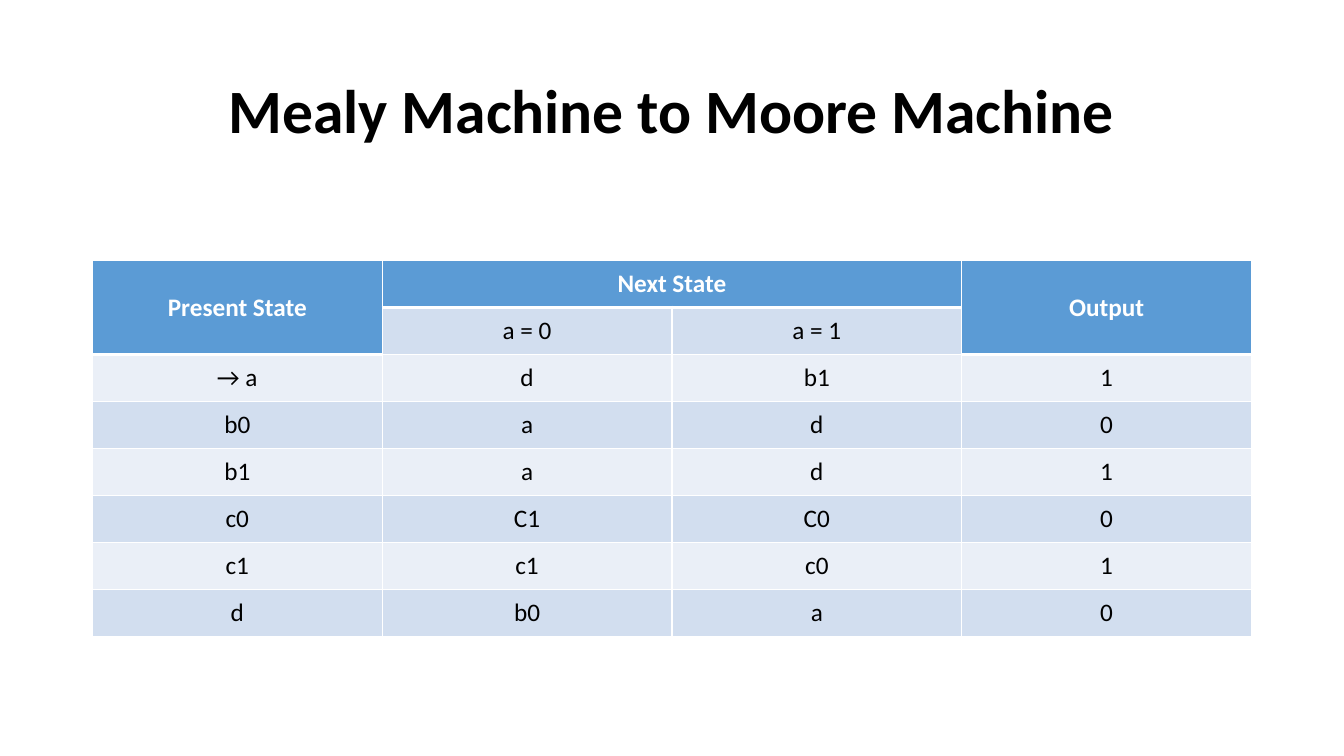
import dataclasses

import pptx
import pptx.dml.color
import pptx.enum.text
import pptx.oxml
import pptx.oxml.ns
import pptx.util

Pt = pptx.util.Pt
CENTER = pptx.enum.text.PP_ALIGN.CENTER
MIDDLE = pptx.enum.text.MSO_ANCHOR.MIDDLE
TOP = pptx.enum.text.MSO_ANCHOR.TOP


@dataclasses.dataclass(frozen=True)
class Theme:
    font: str = "Calibri"
    title_size: float = 44
    table_size: float = 18
    ink: str = "000000"
    white: str = "FFFFFF"
    header: str = "5B9BD5"
    bands: tuple = ("EAEFF7", "D2DEEF")
    thin_line: float = 1
    header_line: float = 3
    cell_margin: float = 6


THEME = Theme()

TRANSITIONS = [
    ["Present State", "Next State", "", "Output"],
    ["", "a = 0", "a = 1", ""],
    ["→ a", "d", "b1", "1"],
    ["b0", "a", "d", "0"],
    ["b1", "a", "d", "1"],
    ["c0", "C1", "C0", "0"],
    ["c1", "c1", "c0", "1"],
    ["d", "b0", "a", "0"],
]
HEADER_SPANS = [((0, 0), (1, 0)), ((0, 1), (0, 2)), ((0, 3), (1, 3))]


def format_text(text_frame, size, color, bold):
    paragraph = text_frame.paragraphs[0]
    paragraph.alignment = CENTER
    for run in paragraph.runs:
        run.font.name = THEME.font
        run.font.size = Pt(size)
        run.font.bold = bold
        run.font.color.rgb = pptx.dml.color.RGBColor.from_string(color)


def add_title(slide, box, text):
    text_frame = slide.shapes.add_textbox(*map(Pt, box)).text_frame
    text_frame.word_wrap = True
    text_frame.vertical_anchor = MIDDLE
    text_frame.text = text
    text_frame.paragraphs[0].line_spacing = 0.9
    format_text(text_frame, THEME.title_size, THEME.ink, True)


def is_header(row, column):
    return row == 0 or (row == 1 and column in (0, 3))


def set_borders(cell, widths):
    properties = cell._tc.get_or_add_tcPr()
    for side, width in widths.items():
        properties.append(pptx.oxml.parse_xml(
            f'<a:ln{side} {pptx.oxml.ns.nsdecls("a")} w="{Pt(width)}">'
            f'<a:solidFill><a:srgbClr val="{THEME.white}"/></a:solidFill></a:ln{side}>'))


def format_cell(cell, row, column):
    header = is_header(row, column)
    below_header = row > 0 and is_header(row - 1, column)
    thin, thick = THEME.thin_line, THEME.header_line
    set_borders(cell, {"L": thin, "R": thin,
                       "T": thick if below_header else thin,
                       "B": thick if header else thin})
    cell.fill.solid()
    fill = THEME.header if header else THEME.bands[row % 2]
    cell.fill.fore_color.rgb = pptx.dml.color.RGBColor.from_string(fill)
    cell.margin_left = cell.margin_right = Pt(THEME.cell_margin)
    cell.margin_top = cell.margin_bottom = Pt(THEME.cell_margin)
    # Headers that span two rows are centred vertically
    cell.vertical_anchor = MIDDLE if header and column in (0, 3) else TOP
    format_text(cell.text_frame, THEME.table_size,
                THEME.white if header else THEME.ink, header)


def add_transition_table(slide, box, rows):
    left, top, width, height = box
    column_count = len(rows[0])
    table = slide.shapes.add_table(len(rows), column_count, *map(Pt, box)).table
    table.first_row = table.horz_banding = False
    for table_column in table.columns:
        table_column.width = Pt(width / column_count)
    for table_row in table.rows:
        table_row.height = Pt(height / len(rows))

    # Cell text and look
    for row, values in enumerate(rows):
        for column, value in enumerate(values):
            cell = table.cell(row, column)
            if value:
                cell.text_frame.text = value
            format_cell(cell, row, column)

    # Header spans
    for first, last in HEADER_SPANS:
        table.cell(*first).merge(table.cell(*last))


def main():
    presentation = pptx.Presentation()
    presentation.slide_width = Pt(960)
    presentation.slide_height = Pt(540)
    slide = presentation.slides.add_slide(presentation.slide_layouts[6])
    add_title(slide, (66, 28.75, 828, 104.4), "Mealy Machine to Moore Machine")
    add_transition_table(slide, (66, 186, 828, 268.8), TRANSITIONS)
    presentation.save("out.pptx")


if __name__ == "__main__":
    main()
